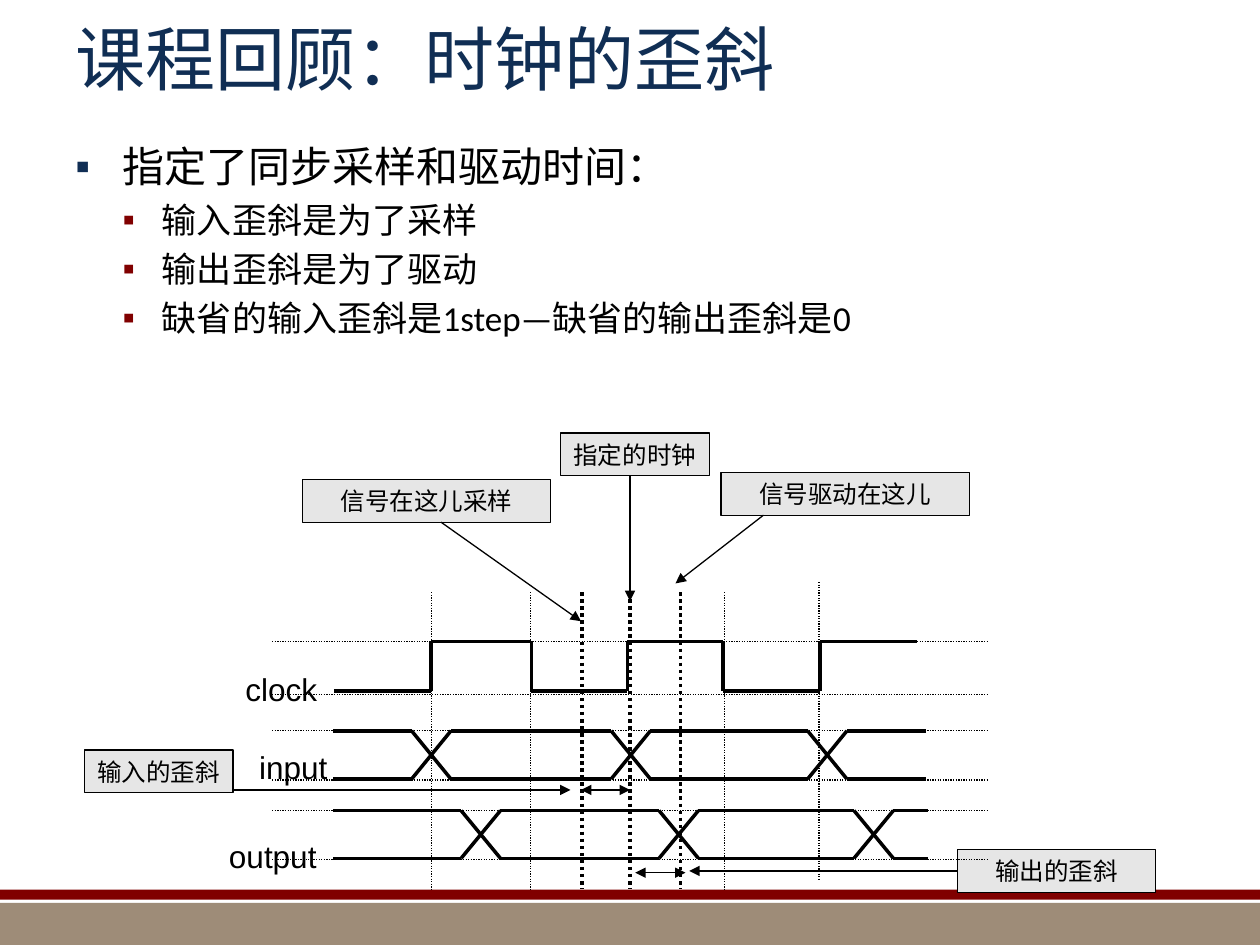
"""Builds a slide that reviews clock skew with an annotated timing diagram."""
from itertools import pairwise

from lxml import etree
from pptx import Presentation
from pptx.dml.color import RGBColor
from pptx.enum import dml, shapes, text
from pptx.oxml import ns
from pptx.util import Pt

NAVY = RGBColor(0x10, 0x2E, 0x54)
MAROON = RGBColor(0x80, 0x00, 0x00)
TAUPE = RGBColor(0x9E, 0x8C, 0x78)
GREY = RGBColor(0xE6, 0xE6, 0xE6)
BLACK = RGBColor(0x00, 0x00, 0x00)

THIN, THICK = 0.75, 2
CROSSING = 22.5
CLOCK_HIGH, CLOCK_LOW = 366.5, 394.8
CLOCK_TIMES = [190.8, 246.4, 303.7, 358.5, 413.3, 468.6, 524.2]
INPUT_HIGH, INPUT_LOW = 417.6, 445.2
OUTPUT_HIGH, OUTPUT_LOW = 463.2, 490.5
INPUT_CROSSINGS = [235.2, 349.2, 461.5]
OUTPUT_CROSSINGS = [263.5, 376.6, 488]
GUIDE_LEVELS = [366.5, 396.7, 417.6, 445.7, 463, 491]
GUIDE_TIMES = [(246.4, THIN), (303.1, THIN), (332.6, THICK),
               (360, THICK), (388.8, THICK), (414, THIN)]
BULLETS = [
    ("指定了同步采样和驱动时间：", 0),
    ("输入歪斜是为了采样", 1),
    ("输出歪斜是为了驱动", 1),
    ("缺省的输入歪斜是1step—缺省的输出歪斜是0", 1),
]
BULLET_STYLES = [(24, NAVY, 27, 27, 0), (20, MAROON, 49.5, 22.5, 4)]


def set_font(paragraph, name, size, color):
    for run in paragraph.runs:
        run.font.name = name
        run.font.size = Pt(size)
        run.font.color.rgb = color


def add_rectangle(slide, left, top, width, height, color):
    shape = slide.shapes.add_shape(
        shapes.MSO_SHAPE.RECTANGLE, Pt(left), Pt(top), Pt(width), Pt(height))
    shape.shadow.inherit = False
    shape.fill.solid()
    shape.fill.fore_color.rgb = color
    shape.line.fill.background()
    return shape


def add_callout(slide, label, left, top, width):
    shape = add_rectangle(slide, left, top, width, 24.4, GREY)
    shape.line.color.rgb = BLACK
    shape.line.width = Pt(THIN)
    frame = shape.text_frame
    frame.word_wrap = False
    frame.vertical_anchor = text.MSO_ANCHOR.MIDDLE
    frame.text = label
    frame.paragraphs[0].alignment = text.PP_ALIGN.CENTER
    set_font(frame.paragraphs[0], "Cabin", 14, BLACK)
    return shape


def add_text(slide, content, left, top, width, height, font, size, color):
    frame = slide.shapes.add_textbox(
        Pt(left), Pt(top), Pt(width), Pt(height)).text_frame
    frame.word_wrap = True
    frame.text = content
    set_font(frame.paragraphs[0], font, size, color)
    return frame


def add_bullet(paragraph, level):
    size, color, margin, hanging, space = BULLET_STYLES[level]
    paragraph.level = level
    paragraph.space_before = Pt(space)
    properties = paragraph._p.get_or_add_pPr()
    properties.set("marL", str(Pt(margin)))
    properties.set("indent", str(-Pt(hanging)))
    bullet_color = etree.SubElement(properties, ns.qn("a:buClr"))
    etree.SubElement(bullet_color, ns.qn("a:srgbClr"), val=str(color))
    etree.SubElement(properties, ns.qn("a:buFont"), typeface="Arial")
    etree.SubElement(properties, ns.qn("a:buChar"), char="▪")
    set_font(paragraph, "Calibri", size, BLACK)


def add_bullets(slide):
    frame = add_text(slide, "\n".join(label for label, _ in BULLETS),
                     36, 77, 648, 420, "Calibri", 24, BLACK)
    for paragraph, (_, level) in zip(frame.paragraphs, BULLETS):
        add_bullet(paragraph, level)


def add_line(slide, x1, y1, x2, y2, width=THICK, dotted=False, arrows=()):
    line = slide.shapes.add_connector(
        shapes.MSO_CONNECTOR.STRAIGHT, Pt(x1), Pt(y1), Pt(x2), Pt(y2))
    line.line.color.rgb = BLACK
    line.line.width = Pt(width)
    if dotted:
        line.line.dash_style = dml.MSO_LINE.ROUND_DOT
    outline = line.line._get_or_add_ln()
    for end in arrows:
        etree.SubElement(outline, ns.qn(f"a:{end}"), type="triangle")
    etree.SubElement(line._element.spPr, ns.qn("a:effectLst"))
    return line


def add_arrow(slide, x1, y1, x2, y2, both=False):
    arrows = ("headEnd", "tailEnd") if both else ("tailEnd",)
    return add_line(slide, x1, y1, x2, y2, THIN, arrows=arrows)


def add_guides(slide):
    for y in GUIDE_LEVELS:
        add_line(slide, 155.5, y, 564.5, y, THIN, dotted=True)
    for x, width in GUIDE_TIMES:
        add_line(slide, x, 338.4, x, 508.3, width, dotted=True)
    add_line(slide, 468, 332.6, 468, 502.6, THIN, dotted=True)


def add_clock(slide):
    for index, (start, end) in enumerate(pairwise(CLOCK_TIMES)):
        level = CLOCK_HIGH if index % 2 else CLOCK_LOW
        add_line(slide, start, level, end, level)
    for x in CLOCK_TIMES[1:-1]:
        add_line(slide, x, CLOCK_HIGH, x, CLOCK_LOW)


def add_bus(slide, crossings, high, low, end):
    starts = [190.5] + [x + CROSSING for x in crossings]
    for left, right in zip(starts, crossings + [end]):
        add_line(slide, left, high, right, high)
        add_line(slide, left, low, right, low)
    for x in crossings:
        add_line(slide, x, high, x + CROSSING, low)
        add_line(slide, x + CROSSING, high, x, low)


def main():
    presentation = Presentation()
    presentation.slide_width, presentation.slide_height = Pt(720), Pt(540)
    slide = presentation.slides.add_slide(presentation.slide_layouts[6])

    add_rectangle(slide, 0, 516, 720, 24, TAUPE)
    add_rectangle(slide, 0, 508.3, 720, 5.8, MAROON)
    title = add_text(slide, "课程回顾：时钟的歪斜", 36, 0, 648, 66,
                     "Calibri", 40, NAVY)
    title.vertical_anchor = text.MSO_ANCHOR.MIDDLE
    add_bullets(slide)

    add_callout(slide, "信号在这儿采样", 172.8, 274, 142)
    add_callout(slide, "指定的时钟", 320.3, 247.5, 85)
    add_callout(slide, "信号驱动在这儿", 412, 270, 142)
    add_callout(slide, "输入的歪斜", 48.2, 428.6, 85)
    output_skew = add_callout(slide, "输出的歪斜", 547.2, 485.5, 113)

    add_guides(slide)
    add_clock(slide)
    add_bus(slide, INPUT_CROSSINGS, INPUT_HIGH, INPUT_LOW, 529)
    add_bus(slide, OUTPUT_CROSSINGS, OUTPUT_HIGH, OUTPUT_LOW, 530.3)

    add_arrow(slide, 252, 298.4, 332, 355)
    add_arrow(slide, 360, 271.9, 360, 343.5)
    add_arrow(slide, 436.3, 294.4, 386, 333.4)
    add_arrow(slide, 133.2, 451.4, 326, 451.4)
    add_arrow(slide, 360, 451.4, 332, 451.4, both=True)
    add_arrow(slide, 391.7, 498.7, 363, 498.7, both=True)
    add_arrow(slide, 547.2, 497.7, 393.8, 497.7).begin_connect(output_skew, 1)

    for label, left, top in [("clock", 133.2, 379.6), ("input", 141, 424),
                             ("output", 123.8, 474.5)]:
        add_text(slide, label, left, top, 80, 26.6, "Arial", 18, BLACK)

    presentation.save("out.pptx")


if __name__ == "__main__":
    main()
